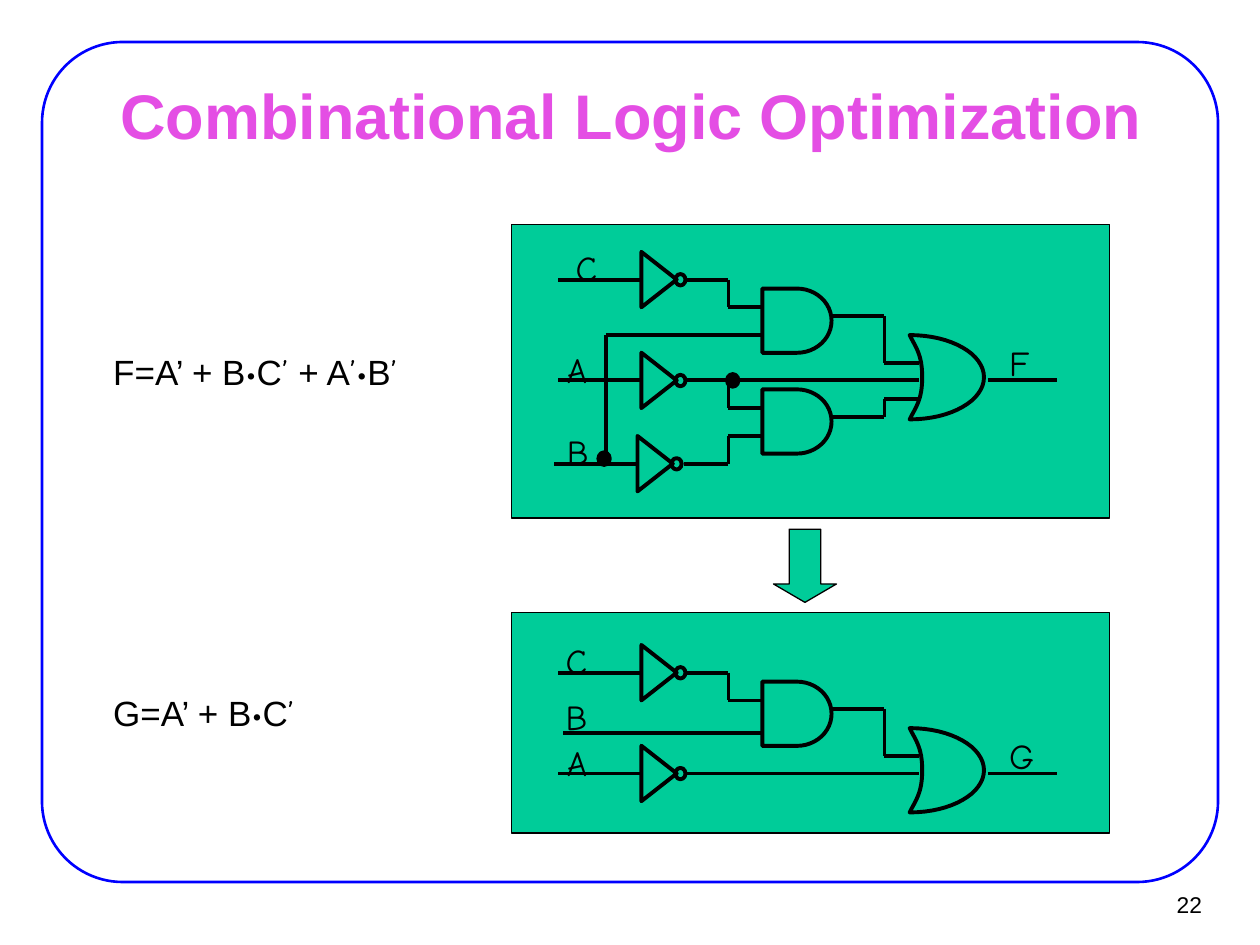
from itertools import cycle, pairwise

from lxml import etree
from pptx import Presentation
from pptx.dml.color import RGBColor
from pptx.enum.shapes import MSO_CONNECTOR, MSO_SHAPE
from pptx.enum.text import MSO_ANCHOR, MSO_AUTO_SIZE, PP_ALIGN
from pptx.oxml.ns import qn
from pptx.util import Pt

BLACK = RGBColor(0x00, 0x00, 0x00)
BLUE = RGBColor(0x00, 0x00, 0xFF)
GREEN = RGBColor(0x00, 0xCC, 0x99)
PINK = RGBColor(0xE4, 0x4E, 0xE4)

SANS, HAND = "Arial", "Comic Neue"
STRAIGHT = MSO_CONNECTOR.STRAIGHT
RECT, ROUND_RECT = MSO_SHAPE.RECTANGLE, MSO_SHAPE.ROUNDED_RECTANGLE
TRIANGLE, OVAL = MSO_SHAPE.ISOSCELES_TRIANGLE, MSO_SHAPE.OVAL
DELAY, DOWN_ARROW = MSO_SHAPE.FLOWCHART_DELAY, MSO_SHAPE.DOWN_ARROW
LEFT, CENTER, RIGHT = PP_ALIGN.LEFT, PP_ALIGN.CENTER, PP_ALIGN.RIGHT
TOP, MIDDLE = MSO_ANCHOR.TOP, MSO_ANCHOR.MIDDLE
NO_FIT, GROW = MSO_AUTO_SIZE.NONE, MSO_AUTO_SIZE.SHAPE_TO_FIT_TEXT

GATE_LINE, RISER_LINE = 2.25, 2
IN_X, INV_X, INV_END = 319, 366.5, 391      # input wire, inverter, its output
ELBOW_X, AND_X, AND_END = 416.2, 435.6, 475.2
OR_ELBOW_X, OR_IN = 505.4, 524.9
C_Y, A_Y, B_Y = 159.8, 217.4, 265
SECOND_DY = 224.6                           # second circuit below the first


def format_text(tf, texts, fonts=(SANS,), size=20, color=BLACK, bold=False,
                align=LEFT, anchor=TOP, wrap=True, fit=GROW, insets=(7.2, 3.6),
                indent=0):
    """Write one paragraph, a run per text, taking the fonts in turn."""
    tf.word_wrap, tf.auto_size, tf.vertical_anchor = wrap, fit, anchor
    tf.margin_left = tf.margin_right = Pt(insets[0])
    tf.margin_top = tf.margin_bottom = Pt(insets[1])
    p = tf.paragraphs[0]
    p.alignment = align
    if indent:
        p.level = 2
        pPr = p._p.get_or_add_pPr()
        pPr.set("marL", str(Pt(indent)))
        pPr.set("indent", "0")
    for text, font in zip(texts, cycle(fonts)):
        r = p.add_run()
        r.text = text
        r.font.name, r.font.size, r.font.bold = font, Pt(size), bold
        r.font.color.rgb = color


def add_text(shapes, x, y, w, h, texts, **fmt):
    s = shapes.add_textbox(Pt(x), Pt(y), Pt(w), Pt(h))
    format_text(s.text_frame, texts, **fmt)


def add_label(shapes, x, y, letter):
    add_text(shapes, x, y, 29.5, 31.7, [letter], fonts=(HAND,))


def style(s, fill=None, line=BLACK, width=GATE_LINE):
    s.shadow.inherit = False
    if fill is None:
        s.fill.background()
    else:
        s.fill.solid()
        s.fill.fore_color.rgb = fill
    s.line.color.rgb = line
    s.line.width = Pt(width)


def add_preset(shapes, kind, x, y, w, h, adj=(), **look):
    s = shapes.add_shape(kind, Pt(x), Pt(y), Pt(w), Pt(h))
    for i, value in enumerate(adj):
        s.adjustments[i] = value
    style(s, **look)
    return s


def add_wire(shapes, *points):
    """Join the points with straight lines; vertical ones are thinner."""
    for (x1, y1), (x2, y2) in pairwise(points):
        s = shapes.add_connector(STRAIGHT, Pt(x1), Pt(y1), Pt(x2), Pt(y2))
        s.line.color.rgb = BLACK
        s.line.width = Pt(RISER_LINE if x1 == x2 else GATE_LINE)
        etree.SubElement(s._element.spPr, qn("a:effectLst"))


def add_inverter(shapes, x, y):
    g = shapes.add_group_shape().shapes
    w, h = 31.7, 20.2
    s = add_preset(g, TRIANGLE, x + h / 2 - w / 2, y - h / 2, w, h)
    s.rotation = 90
    add_preset(g, OVAL, x + 19.4, y - 3.2, 5.8, 6.5)


def add_and_gate(shapes, y):
    add_preset(shapes, DELAY, AND_X, y, 39.6, 36.7)


def add_junction(shapes, x, y):
    add_preset(shapes, OVAL, x - 3.25, y - 3.6, 6.5, 7.2, fill=BLACK)


def bezier(p0, p1, p2, p3, steps=16):
    for i in range(1, steps + 1):
        t = i / steps
        u = 1 - t
        yield tuple(u**3 * a + 3 * u * u * t * b + 3 * u * t * t * c + t**3 * d
                    for a, b, c, d in zip(p0, p1, p2, p3))


def add_or_gate(shapes, x, y):
    top, back, bottom, tip = (0, 0), (7.2, 24.1), (0, 48.2), (42.5, 24.1)
    curves = [(top, (3.6, 7.2), (7.2, 11.2), back),
              (back, (7.2, 37), (3.6, 41), bottom),
              (bottom, (23.8, 48.2), (42.5, 37.4), tip),
              (tip, (42.5, 10.8), (23.8, 0), top)]
    points = [(Pt(x + px), Pt(y + py)) for c in curves for px, py in bezier(*c)]
    fb = shapes.build_freeform(Pt(x), Pt(y))
    fb.add_line_segments(points, close=True)
    style(fb.convert_to_shape())


def add_common_circuit(shapes, dy, c_label_x, output):
    """Draw C and A inverted, the AND gate fed by C, and the OR gate."""
    c, a = C_Y + dy, A_Y + dy
    for y in (c, a):
        add_wire(shapes, (IN_X, y), (INV_X, y))
        add_inverter(shapes, INV_X, y)
    add_and_gate(shapes, dy + 164.9)
    add_or_gate(shapes, 519.8, dy + 191.5)
    add_wire(shapes, (INV_END, c), (ELBOW_X, c),
             (ELBOW_X, c + 15.9), (AND_X, c + 15.9))
    add_wire(shapes, (INV_END, a), (ELBOW_X, a), (OR_IN, a))
    add_wire(shapes, (AND_END, dy + 180.7), (OR_ELBOW_X, dy + 180.7),
             (OR_ELBOW_X, dy + 207.2), (OR_IN, dy + 207.2))
    add_wire(shapes, (564.5, a), (604.1, a))
    add_label(shapes, c_label_x, dy + 137.5, "C")
    add_label(shapes, 316.8, dy + 195.4, "A")
    add_label(shapes, 569.5, dy + 191.5, output)


def add_first_circuit(shapes):
    add_common_circuit(shapes, 0, 321.8, "F")
    add_wire(shapes, (316.8, B_Y), (364.3, B_Y))
    add_inverter(shapes, INV_X - 2.2, B_Y)
    add_and_gate(shapes, 222.5)
    add_wire(shapes, (346.3, B_Y), (346.3, 191.4), (AND_X, 191.4))
    add_wire(shapes, (ELBOW_X, A_Y), (ELBOW_X, 233.3), (AND_X, 233.3))
    add_wire(shapes, (INV_END, B_Y), (ELBOW_X, B_Y),
             (ELBOW_X, 249.1), (AND_X, 249.1))
    add_wire(shapes, (AND_END, 238.3), (OR_ELBOW_X, 238.3),
             (OR_ELBOW_X, 228.2), (OR_IN, 228.2))
    add_label(shapes, 316.8, 242.6, "B")
    add_junction(shapes, 418.7, A_Y)
    add_junction(shapes, 345.2, 262.1)


def add_second_circuit(shapes):
    g = shapes.add_group_shape().shapes
    add_common_circuit(g, SECOND_DY, 316.1, "G")
    add_wire(g, (321.8, 419), (AND_X, 419))
    add_label(g, 316.1, 393.8, "B")


def main():
    prs = Presentation()
    prs.slide_width, prs.slide_height = Pt(720), Pt(540)
    slide = prs.slides.add_slide(prs.slide_layouts[5])
    shapes = slide.shapes

    title = shapes.title
    title.left, title.top = Pt(54.7), Pt(47.5)
    title.width, title.height = Pt(612), Pt(35.3)
    format_text(title.text_frame, ["Combinational Logic Optimization"], size=36,
                color=PINK, bold=True, align=CENTER, anchor=MIDDLE, fit=NO_FIT,
                insets=(7.9, 4.3))

    add_preset(shapes, ROUND_RECT, 24, 24, 672, 480, adj=[0.096],
               line=BLUE, width=1.5)
    add_text(shapes, 649.4, 503.3, 43.9, 26.6, ["22"], size=13, align=RIGHT,
             anchor=MIDDLE, wrap=False, fit=NO_FIT, insets=(6.5, 2.9))

    for y, h in ((128.2, 167.8), (350.1, 126)):
        add_preset(shapes, RECT, 292.2, y, 342, h, fill=GREEN, width=0.75)
    add_preset(shapes, DOWN_ARROW, 442, 302.4, 36, 41.8, adj=[0.5, 0.292],
               fill=GREEN, width=0.75)
    add_first_circuit(shapes)
    add_second_circuit(shapes)

    equations = ((196.6, ["F=A’ + B", "•", "C", "’", " + A", "’•", "B", "’"]),
                 (391.7, ["G=A’ + B", "•", "C", "’"]))
    for y, texts in equations:
        add_text(shapes, -14.4, y, 291.6, 31.7, texts, fonts=(SANS, HAND),
                 indent=72)

    prs.save("out.pptx")


if __name__ == "__main__":
    main()
